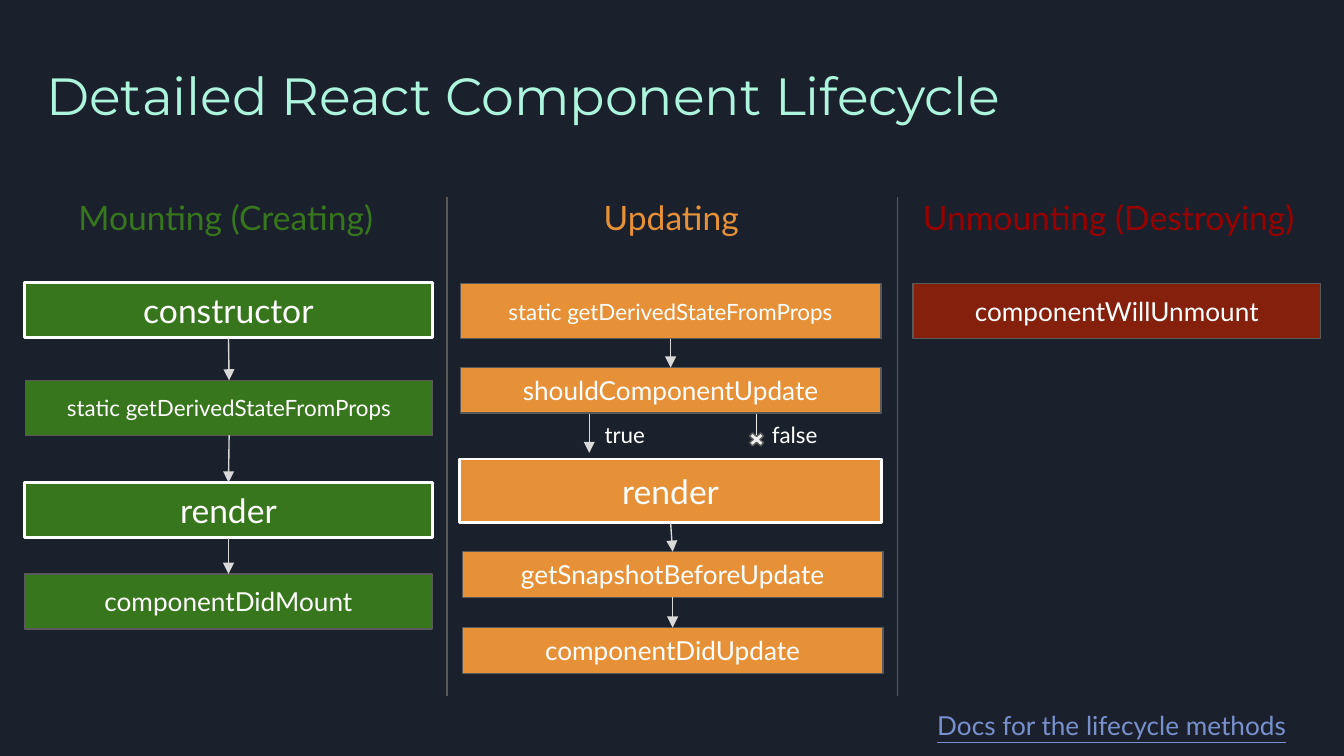
from lxml.etree import SubElement
from pptx import Presentation
from pptx.dml.color import RGBColor
from pptx.enum.shapes import MSO_CONNECTOR as Connector, MSO_SHAPE as Shape
from pptx.enum.text import MSO_ANCHOR as Anchor, MSO_AUTO_SIZE as AutoSize, PP_ALIGN as Align
from pptx.oxml.ns import qn
from pptx.util import Pt

PX = 4572
GREEN, ORANGE, GREY, WHITE = "38761D", "E69138", "595959", "FFFFFF"
ARROW = "D9D9D9"


def px(*lengths):
    """Turn lengths in px into EMU."""
    return [length * PX for length in lengths]


def color(code):
    """Turn a hex string into a colour."""
    return RGBColor.from_string(code)


def write(shape, text, size, code, align=Align.LEFT, anchor=Anchor.TOP, font="Lato", underline=False):
    """Put one formatted line of text into a shape."""
    frame = shape.text_frame
    frame.word_wrap = True
    frame.auto_size = AutoSize.NONE
    frame.vertical_anchor = anchor
    frame.margin_left, frame.margin_top, frame.margin_right, frame.margin_bottom = px(20, 20, 20, 20)
    para = frame.paragraphs[0]
    para.alignment = align
    span = para.add_run()
    span.text = text
    span.font.name = font
    span.font.size = Pt(size)
    span.font.color.rgb = color(code)
    if underline:
        span.font.underline = True


def add_label(page, box, text, size, code, **style):
    """Add a text box."""
    write(page.shapes.add_textbox(*px(*box)), text, size, code, **style)


def add_block(page, box, fill=None, line=GREY, width=0.75, kind=Shape.RECTANGLE):
    """Add a flat shape, hollow when it has no fill."""
    block = page.shapes.add_shape(kind, *px(*box))
    block.shadow.inherit = False
    if fill:
        block.fill.solid()
        block.fill.fore_color.rgb = color(fill)
    else:
        block.fill.background()
    block.line.color.rgb = color(line)
    block.line.width = Pt(width)
    return block


def add_line(page, start, end, code, arrow=False):
    """Add a straight line, with an arrowhead at its end if asked."""
    line = page.shapes.add_connector(Connector.STRAIGHT, *px(*start, *end))
    line.line.color.rgb = color(code)
    line.line.width = Pt(0.75)
    properties = line.line._get_or_add_ln()
    if arrow:
        SubElement(properties, qn("a:tailEnd"), type="triangle")
    SubElement(properties.getparent(), qn("a:effectLst"))


def add_title(page, box, text):
    """Move and fill the title placeholder."""
    title = page.shapes.title
    title.left, title.top, title.width, title.height = px(*box)
    write(title, text, 28, "ADF5DD", font="Montserrat")


def add_phase(page, box, heading, steps, fill, heading_code):
    """Draw one lifecycle phase: a heading and its chain of methods."""
    left, top, width = box
    caption, shift, span = heading
    add_label(page, (left + shift, top, span, 108), caption, 18, heading_code, align=Align.CENTER)
    for shift, offset, height, text, size, _ in steps:
        block = add_block(page, (left + shift, top + offset, width - 2, height), fill)
        write(block, text, size, WHITE, Align.CENTER, Anchor.MIDDLE)
        if size == 18:
            add_block(page, (left, top + offset, width, height), line=WHITE, width=1.5)
    for step, following in zip(steps, steps[1:]):
        if step[-1]:
            start = left + step[0] + width // 2 - 1, top + step[1] + step[2]
            end = left + following[0] + width // 2 - 1, top + following[1]
            add_line(page, start, end, ARROW, arrow=True)


def add_branch(page, box):
    """Draw the true and false ways out of the update check."""
    left, top, width, height = box
    right = left + width
    add_line(page, (left, top), (left, top + height), ARROW, arrow=True)
    add_line(page, (right, top), (right, top + 38), "EFEFEF")
    cross = add_block(page, (right - 16, top + 24, 32, 28), "EEEEEE", kind=Shape.MATH_MULTIPLY)
    cross.adjustments[0] = 0.235
    for text, start in (("true", left), ("false", right)):
        add_label(page, (start + 3, top - 10, 146, 96), text, 12, WHITE)


def main():
    """Build the slide and save it."""
    deck = Presentation()
    deck.slide_width, deck.slide_height = px(2000, 1125)
    page = deck.slides.add_slide(deck.slide_layouts[5])
    page.background.fill.solid()
    page.background.fill.fore_color.rgb = color("1B212C")
    add_title(page, (49, 74, 1540, 200), "Detailed React Component Lifecycle")
    for x in (665, 1336):
        add_line(page, (x, 293), (x, 1036), GREY)

    derived = "static getDerivedStateFromProps"
    mounting = [
        (1, 147, 82, "constructor", 18, True),
        (2, 293, 82, derived, 12, True),
        (1, 445, 82, "render", 18, True),
        (1, 581, 82, "componentDidMount", 14, False),
    ]
    updating = [
        (1, 149, 82, derived, 12, True),
        (1, 274, 68, "shouldComponentUpdate", 14, False),
        (1, 410, 95, "render", 18, True),
        (4, 548, 68, "getSnapshotBeforeUpdate", 14, True),
        (4, 661, 68, "componentDidUpdate", 14, False),
    ]
    unmounting = [(1, 149, 82, "componentWillUnmount", 14, False)]
    add_phase(page, (36, 273, 608), ("Mounting (Creating)", 37, 526), mounting, GREEN, GREEN)
    add_phase(page, (684, 273, 628), ("Updating", 21, 588), updating, ORANGE, ORANGE)
    add_phase(page, (1358, 273, 608), ("Unmounting (Destroying)", -28, 640), unmounting, "85200C", "990000")
    add_branch(page, (877, 616, 249, 58))
    add_label(page, (1375, 1036, 626, 94), "Docs for the lifecycle methods", 14, "7890CD", underline=True)
    deck.save("out.pptx")


if __name__ == "__main__":
    main()
